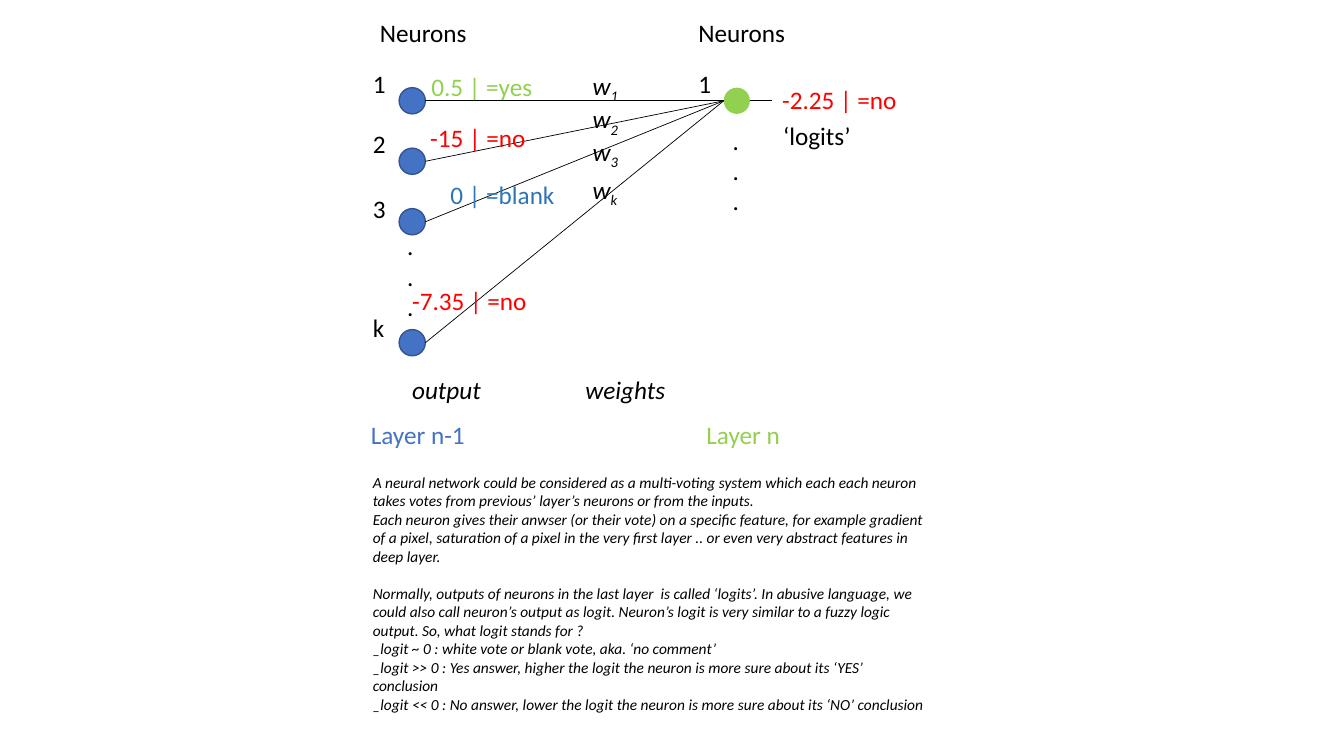
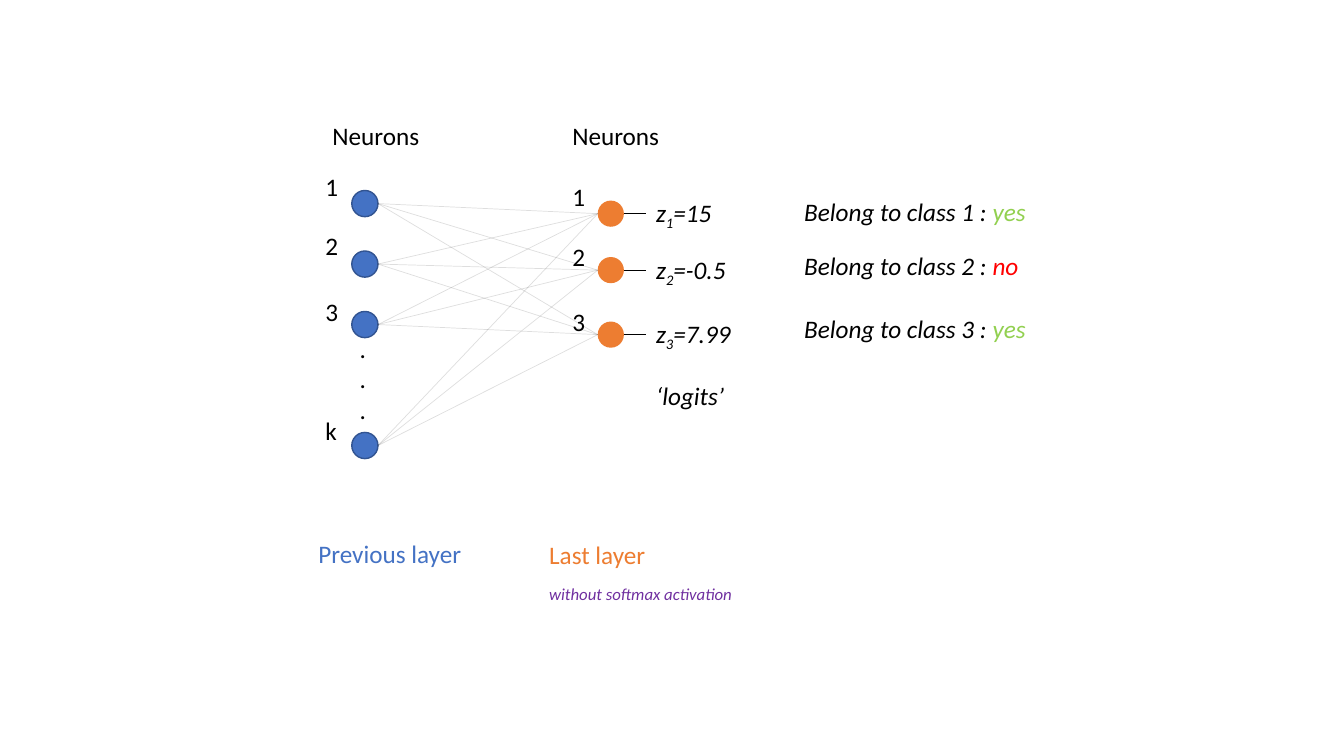
import collections
import itertools

import lxml.etree
import pptx
import pptx.dml.color
import pptx.enum.shapes
import pptx.enum.text
import pptx.oxml.ns
import pptx.util


class Theme:
    font = "Calibri"
    body, note, label = 11, 12, 18
    black, red, green = "000000", "FF0000", "92D050"
    blue, navy, steel = "4472C4", "325491", "2E75B6"
    orange, purple = "ED7D31", "7030A0"
    hairline, outline = 0.5, 1
    faint = 12  # opacity in percent


# Every length is counted in grid cells of a tenth of an inch
CELL = pptx.util.Inches(0.1)
COLUMNS, ROWS = 133.33, 75
NEURON = 2.6
LABEL_HEIGHT = 4
INPUT_ROWS = [0, 6, 12, 24]
NUMBER_ROWS = [-2.4, 3.5, 10, 21.8]

Point = collections.namedtuple("Point", "left top")


def cells(*lengths):
    return [round(length * CELL) for length in lengths]


def colour(value):
    return pptx.dml.color.RGBColor.from_string(value)


def shift(origin, left, top):
    return Point(origin.left + left, origin.top + top)


# Basic parts
def add_text(slide, origin, left, top, width, paragraphs, color=Theme.black, size=Theme.label,
             italic=False, height=LABEL_HEIGHT, wrap=False):
    """Each paragraph is a string or a list of runs: (text, colour or "sub")."""
    place = shift(origin, left, top)
    shape = slide.shapes.add_textbox(*cells(place.left, place.top, width, height))
    frame = shape.text_frame
    frame.word_wrap = wrap
    frame.auto_size = pptx.enum.text.MSO_AUTO_SIZE.SHAPE_TO_FIT_TEXT
    for index, content in enumerate(paragraphs):
        paragraph = frame.add_paragraph() if index else frame.paragraphs[0]
        font = paragraph.font
        font.name, font.size, font.italic = Theme.font, pptx.util.Pt(size), italic
        font.color.rgb = colour(color)
        for text, style in [(content, None)] if isinstance(content, str) else content:
            run = paragraph.add_run()
            run.text = text
            if style == "sub":
                run.font._element.set("baseline", "-25000")
            elif style:
                run.font.color.rgb = colour(style)
    return frame


def add_line(slide, start, end, opacity=100):
    line = slide.shapes.add_connector(
        pptx.enum.shapes.MSO_CONNECTOR.STRAIGHT, *cells(*start, *end))
    line.line.width = pptx.util.Pt(Theme.hairline)
    line.line.color.rgb = colour(Theme.black)
    qualified = pptx.oxml.ns.qn
    if opacity < 100:
        fill = next(line._element.iter(qualified("a:srgbClr")))
        lxml.etree.SubElement(fill, qualified("a:alpha")).set("val", str(opacity * 1000))
    lxml.etree.SubElement(line._element.spPr, qualified("a:effectLst"))


def add_neuron(slide, place, fill, outline):
    shape = slide.shapes.add_shape(
        pptx.enum.shapes.MSO_SHAPE.OVAL, *cells(*place, NEURON, NEURON))
    shape.shadow.inherit = False
    shape.fill.solid()
    shape.fill.fore_color.rgb = colour(fill)
    if outline:
        shape.line.color.rgb = colour(outline)
        shape.line.width = pptx.util.Pt(Theme.outline)
    else:
        shape.line.fill.background()


# Regions of a network
def add_layer(slide, origin, rows, names, fill, outline=None, number_left=-3.5, header_left=-3.5,
              header_top=-7.5):
    """Draws a headed column of numbered neurons, returns where they are."""
    add_text(slide, origin, header_left, header_top, 10.7, ["Neurons"])
    neurons = [shift(origin, 0, row) for row in rows]
    for neuron, name, number_row in zip(neurons, names, NUMBER_ROWS):
        add_neuron(slide, neuron, fill, outline)
        add_text(slide, origin, number_left, number_row, 3.2 if name == "k" else 3.3, [name])
    return neurons


def add_dots(slide, origin, left, top):
    add_text(slide, origin, left, top, 2.7, ["."] * 3, height=10.1)


def add_input_layer(slide, origin):
    neurons = add_layer(slide, origin, INPUT_ROWS, "123k", Theme.blue, Theme.navy,
                        number_left=-3.6, header_left=-2.9)
    add_dots(slide, origin, -0.2, 13.7)
    return neurons


def connect_layers(slide, inputs, outputs, opacity=100):
    for source, target in itertools.product(inputs, outputs):
        add_line(slide, shift(source, NEURON, NEURON / 2), shift(target, 0, NEURON / 2), opacity)
    for output in outputs:
        exit_point = shift(output, NEURON, NEURON / 2)
        add_line(slide, exit_point, shift(exit_point, 2.2, 0))


# Slide with one voting neuron
def build_voting_slide(slide, origin):
    inputs = add_input_layer(slide, origin)
    target = shift(origin, 32.2, 0)
    outputs = add_layer(slide, target, [0], "1", Theme.green)
    add_dots(slide, target, -0.1, 3.2)
    connect_layers(slide, inputs, outputs)

    # Weights and votes
    for name, top in zip("123k", [-2.2, 1.1, 4.3, 8.1]):
        add_text(slide, origin, 18.2, top, 4.7, [[("w", None), (name, "sub")]], italic=True)
    votes = [
        (2.2, -2.1, 12.1, "0.5 | =yes", Theme.green),
        (2.1, 2.9, 11.6, "-15 | =no", Theme.red),
        (4.1, 8.6, 12.5, "0 | =blank", Theme.steel),
        (0.3, 19.1, 13.5, "-7.35 | =no", Theme.red),
        (37, -0.8, 13.5, "-2.25 | =no", Theme.red),
    ]
    for left, top, width, text, color in votes:
        add_text(slide, origin, left, top, width, [text], color)
    add_text(slide, origin, 37.1, 2.7, 16.1, ["‘logits’"], wrap=True)

    # Captions and explanation
    add_text(slide, origin, 0.3, 27.9, 8.9, ["output"], italic=True)
    add_text(slide, origin, 17.5, 27.9, 10, ["weights"], italic=True)
    add_text(slide, origin, -3.8, 32.4, 11.5, ["Layer n-1"], Theme.blue)
    add_text(slide, origin, 29.5, 32.4, 9.4, ["Layer n"], Theme.green)
    explanation = [
        "A neural network could be considered as a multi-voting system which each each neuron "
        "takes votes from previous’ layer’s neurons or from the inputs.",
        "Each neuron gives their anwser (or their vote) on a specific feature, for example "
        "gradient of a pixel, saturation of a pixel in the very first layer .. or even very "
        "abstract features in deep layer.",
        "Normally, outputs of neurons in the last layer  is called ‘logits’. In abusive language, "
        "we could also call neuron’s output as logit. Neuron’s logit is very similar to a fuzzy "
        "logic output. So, what logit stands for ?",
        "_logit ~ 0 : white vote or blank vote, aka. ‘no comment’",
        "_logit >> 0 : Yes answer, higher the logit the neuron is more sure about its ‘YES’ "
        "conclusion",
        "_logit << 0 : No answer, lower the logit the neuron is more sure about its ‘NO’ "
        "conclusion",
    ]
    frame = add_text(slide, origin, -3.6, 37.7, 57.4, explanation, size=Theme.body,
                     italic=True, height=25.1, wrap=True)
    frame.paragraphs[2].space_before = pptx.util.Pt(13.4)


# Slide with the last layer and its classes
def build_classes_slide(slide, origin):
    inputs = add_input_layer(slide, origin)
    target = shift(origin, 24.4, 1)
    outputs = add_layer(slide, target, [0, 5.6, 12], "123", Theme.orange, header_top=-8.5)
    connect_layers(slide, inputs, outputs, Theme.faint)

    # Logit and class of each output
    results = [
        ("1", "=15", 7.7, "yes", Theme.green, 0.1),
        ("2", "=-0.5", 9.1, "no", Theme.red, 5.4),
        ("3", "=7.99", 9.6, "yes", Theme.green, 11.7),
    ]
    for output, (name, value, width, answer, color, top) in zip(outputs, results):
        add_text(slide, output, 4.8, -0.8, width,
                 [[("z", None), (name, "sub"), (value, None)]], italic=True)
        add_text(slide, origin, 43.9, top, 23.5 if answer == "no" else 24.2,
                 [[(f"Belong to class {name} : ", None), (answer, color)]], italic=True)
    add_text(slide, origin, 29.2, 18.3, 8.9, ["‘logits’"], italic=True)

    # Captions
    add_text(slide, origin, -4.3, 34, 16.9, ["Previous layer"], Theme.blue)
    add_text(slide, origin, 18.6, 34.1, 11.7, ["Last layer"], Theme.orange)
    add_text(slide, origin, 18.6, 38.5, 20.4, ["without softmax activation"], Theme.purple,
             size=Theme.note, italic=True, height=3)


presentation = pptx.Presentation()
presentation.slide_width, presentation.slide_height = cells(COLUMNS, ROWS)
blank = presentation.slide_layouts[6]
build_voting_slide(presentation.slides.add_slide(blank), Point(39.6, 8.7))
build_classes_slide(presentation.slides.add_slide(blank), Point(34.9, 18.9))
presentation.save("out.pptx")
